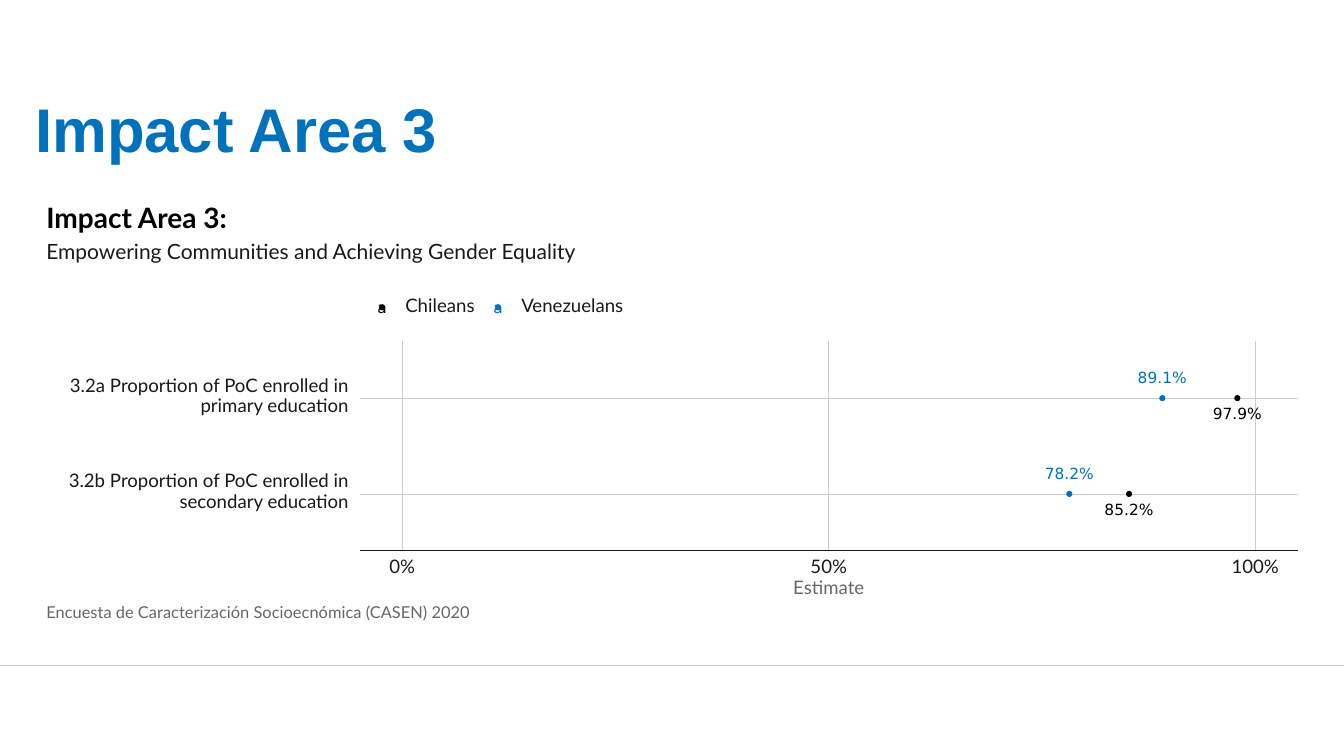
from pptx import Presentation
from pptx.dml.color import RGBColor
from pptx.enum.shapes import MSO_CONNECTOR as Conn, MSO_SHAPE as Kind
from pptx.enum.text import MSO_ANCHOR as Anchor, PP_ALIGN as Align
from pptx.oxml.ns import qn
from pptx.util import Inches, Pt
from lxml.etree import SubElement

BLUE = RGBColor(0x00, 0x72, 0xBC)
BLACK = RGBColor(0x00, 0x00, 0x00)
INK = RGBColor(0x19, 0x19, 0x19)
GRAY = RGBColor(0x66, 0x66, 0x66)
RULE = RGBColor(0xCC, 0xCC, 0xCC)

TITLE = "Impact Area 3"
HEADS = [
    ("Impact Area 3:", 2.06, 1.8, 0.25, "head"),
    ("Empowering Communities and Achieving Gender Equality", 2.42, 5.28, 0.19, "sub"),
    ("Encuesta de Caracterización Socioecnómica (CASEN) 2020", 6.01, 4.18, 0.15, "note"),
]
GROUPS = [("Chileans", 0.69, BLACK, 0.11), ("Venezuelans", 1.03, BLUE, -0.25)]
ROWS = [
    ([("3.2a Proportion of PoC enrolled in", 2.79), ("primary education", 1.47)], (97.9, 89.1)),
    ([("3.2b Proportion of PoC enrolled in", 2.8), ("secondary education", 1.69)], (85.2, 78.2)),
]
TICKS = [(0, 0.26), (50, 0.36), (100, 0.47)]

FORMATS = {
    "title": (dict(name="Arial", size=Pt(44), bold=True), BLUE),
    "head": (dict(name="Lato", size=Pt(20), bold=True), BLACK),
    "sub": (dict(name="Lato", size=Pt(15), bold=False), INK),
    "note": (dict(name="Lato", size=Pt(11.7), bold=False), GRAY),
    "label": (dict(name="Lato", size=Pt(13.3), bold=False), INK),
    "axis": (dict(name="Lato", size=Pt(13.3), bold=False), GRAY),
    "value": (dict(name="DejaVu Sans", size=Pt(11), bold=False), BLACK),
}
SHIFT = {Align.LEFT: 0, Align.CENTER: 0.5, Align.RIGHT: 1}

WIDE = 13.33
LEFT, RIGHT, TOP, BASE = 3.57, 12.87, 3.38, 5.46
ZERO, SPAN = 3.99, 8.46
ROW, STEP = 3.95, 0.95
DOT, SLACK = 0.05, 0.06

deck = Presentation()
deck.slide_width, deck.slide_height = Inches(WIDE), Inches(7.5)
slide = deck.slides.add_slide(deck.slide_layouts[5])
shapes = slide.shapes


def style(para, key, color=None):
    values, shade = FORMATS[key]
    for name, value in values.items():
        setattr(para.font, name, value)
    para.font.color.rgb = color or shade


def write(text, x, y, w, h, key, align=Align.LEFT, color=None):
    w += SLACK
    box = shapes.add_textbox(Inches(x - w * SHIFT[align]), Inches(y), Inches(w), Inches(h))
    frame = box.text_frame
    form = dict(margin_left=0, margin_right=0, margin_top=0, margin_bottom=0,
                word_wrap=False, vertical_anchor=Anchor.MIDDLE)
    for name, value in form.items():
        setattr(frame, name, value)
    para = frame.paragraphs[0]
    para.text, para.alignment = text, align
    para.line_spacing = FORMATS[key][0]["size"]
    style(para, key, color)


def rule(x1, y1, x2, y2, color=RULE, width=0.53):
    line = shapes.add_connector(Conn.STRAIGHT, *map(Inches, (x1, y1, x2, y2)))
    line.line.color.rgb, line.line.width = color, Pt(width)
    SubElement(line._element.spPr, qn("a:effectLst"))


def dot(x, y, color):
    mark = shapes.add_shape(Kind.OVAL, *map(Inches, (x - DOT / 2, y - DOT / 2, DOT, DOT)))
    mark.shadow.inherit = False
    mark.fill.solid()
    mark.fill.fore_color.rgb = color
    mark.line.color.rgb, mark.line.width = color, Pt(0.71)


def place(value):
    return ZERO + SPAN * value / 100


rule(0, 6.6, WIDE, 6.6, width=0.75)
title = shapes.title
title.left, title.top, title.width, title.height = map(Inches, (0.25, 0.25, 12.83, 1.45))
title.text_frame.vertical_anchor = Anchor.BOTTOM
para = title.text_frame.paragraphs[0]
para.text, para.alignment, para.line_spacing = TITLE, Align.LEFT, 0.9
style(para, "title")

for text, y, w, h, key in HEADS:
    write(text, 0.46, y, w, h, key)

levels = [ROW + i * STEP for i in range(len(ROWS))]
for y in levels:
    rule(LEFT, y, RIGHT, y)
for value, w in TICKS:
    x = place(value)
    rule(x, TOP, x, BASE)
    write(f"{value}%", x, 5.56, w, 0.14, "label", Align.CENTER)
rule(LEFT, BASE, RIGHT, BASE, INK, 1.07)
write("Estimate", (LEFT + RIGHT) / 2, 5.77, 0.71, 0.14, "axis", Align.CENTER)

for y, (lines, values) in zip(levels, ROWS):
    for i, (text, w) in enumerate(lines):
        write(text, 3.46, y - 0.2 + i * 0.2, w, 0.17, "label", Align.RIGHT)
    for value, (_, _, color, gap) in zip(values, GROUPS):
        dot(place(value), y, color)
        write(f"{value}%", place(value), y + gap, 0.49, 0.12, "value", Align.CENTER, color)

x = 3.79
for name, w, color, _ in GROUPS:
    dot(x, 3.05, color)
    write("a", x, 3.02, 0.09, 0.09, "value", Align.CENTER, color)
    write(name, x + 0.23, 2.98, w, 0.14, "label")
    x += w + 0.46

deck.save("out.pptx")
